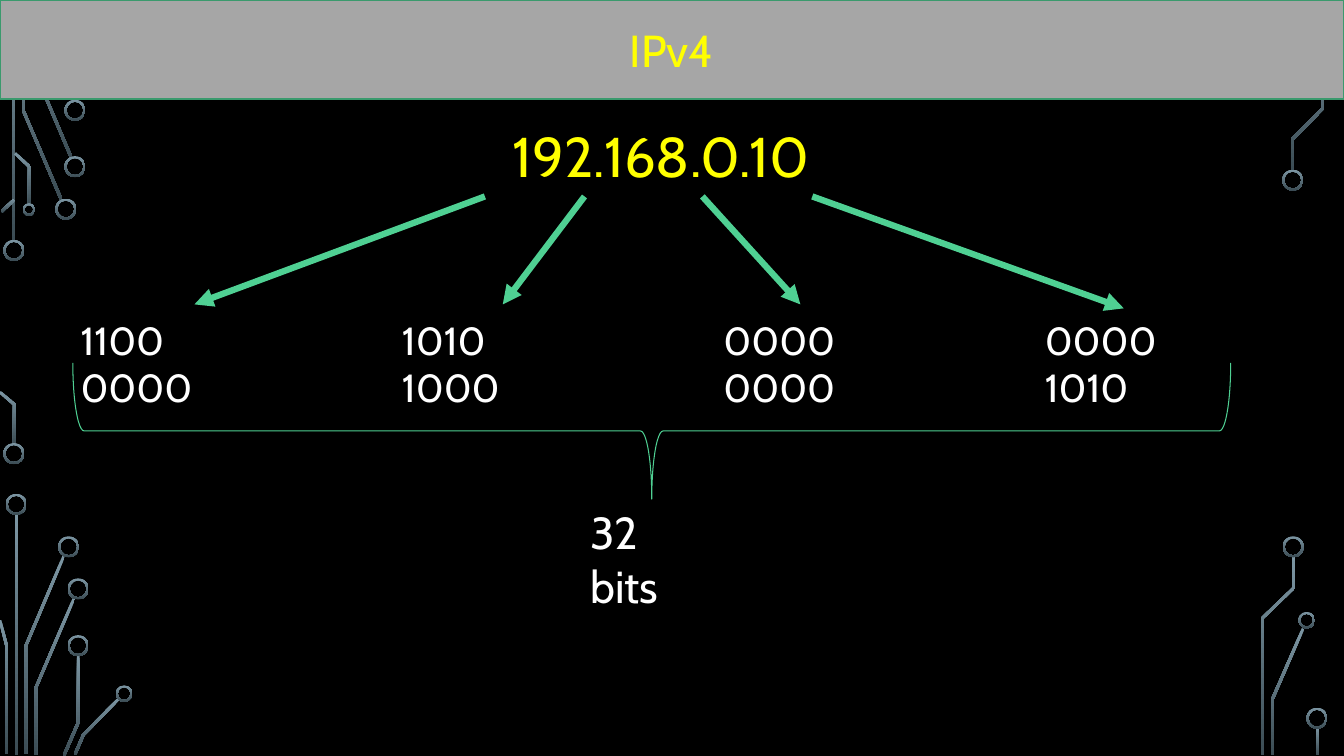
import math
from dataclasses import dataclass

import pptx
import pptx.dml.color
import pptx.enum.shapes
import pptx.enum.text
import pptx.oxml
import pptx.oxml.ns
import pptx.util
from pptx.util import Cm

FONT = "Cabin"
YELLOW, WHITE, GREEN = "FFFF00", "FFFFFF", "4FD093"
TRACK_WIDTH = 0.07
RING_WALL = 0.05

Point = tuple[float, float]


@dataclass(frozen=True)
class Ring:
    x: float
    y: float
    diameter: float = 0.53


@dataclass(frozen=True)
class Label:
    text: str
    left: float
    top: float
    width: float
    height: float
    size: int
    color: str = WHITE


@dataclass(frozen=True)
class Arrow:
    start: Point
    end: Point


# Centre lines of the circuit tracks, in centimetres
TRACKS: list[list[Point]] = [
    [(0.34, 0.03), (0.34, 6.1)],
    [(0.58, 0.03), (0.58, 2.77), (1.55, 5.04)],
    [(0.83, 0.03), (0.83, 1.69), (1.8, 3.98)],
    [(1.55, 0.01), (1.89, 0.84), (1.89, 2.54)],
    [(0.04, 5.33), (0.36, 5.03)],
    [(0, 9.88), (0.36, 10.19), (0.36, 11.2)],
    [(0.38, 3.86), (0.74, 4.2), (0.74, 5.16)],
    [(0.42, 12.95), (0.42, 19.02)],
    [(1.61, 14.01), (0.65, 16.28), (0.65, 19)],
    [(0, 15.63), (0.17, 16.28), (0.17, 19)],
    [(1.87, 15.07), (0.9, 17.34), (0.9, 19.02)],
    [(1.97, 16.51), (1.97, 18.21), (1.61, 19.04)],
    [(3, 17.6), (2.1, 18.52), (1.89, 19.01)],
    [(32.84, 15.84), (32.07, 17.61), (32.07, 19.02)],
    [(33.34, 0.03), (33.34, 2.73), (32.56, 3.52), (32.56, 4.29)],
    [(32.6, 14.02), (32.6, 14.82), (31.81, 15.58), (31.81, 19.02)],
    [(33.21, 18.31), (33.21, 19.02)],
]

RINGS = [
    Ring(0.35, 6.31), Ring(0.35, 11.43), Ring(1.66, 5.27), Ring(1.89, 4.2),
    Ring(1.89, 2.78), Ring(0.73, 5.28, 0.32), Ring(0.41, 12.71), Ring(1.73, 13.78),
    Ring(1.97, 14.84), Ring(1.97, 16.27), Ring(3.13, 17.48, 0.42), Ring(32.58, 4.54),
    Ring(32.93, 15.63, 0.42), Ring(32.59, 13.78), Ring(33.19, 18.1),
]

OCTETS = ["1100 0000", "1010 1000", "0000 0000", "0000 1010"]
OCTET_LEFT, OCTET_PITCH = 1.78, 8.1

LABELS = [
    Label("192.168.0.10", 12.67, 2.95, 8.53, 1.96, 40, YELLOW),
    *(Label(octet, OCTET_LEFT + index * OCTET_PITCH, 7.85, 4.9, 1.45, 28)
      for index, octet in enumerate(OCTETS)),
    Label("32 bits", 14.63, 12.6, 3.45, 1.63, 32),
]

ARROWS = [
    Arrow((12.22, 4.95), (4.9, 7.67)),
    Arrow((20.47, 4.95), (28.32, 7.77)),
    Arrow((17.7, 4.95), (20.17, 7.67)),
    Arrow((14.73, 4.95), (12.67, 7.67)),
]


def rgb(color: str) -> pptx.dml.color.RGBColor:
    return pptx.dml.color.RGBColor.from_string(color)


def style_circuit(shape) -> None:
    shape.shadow.inherit = False
    shape.line.fill.background()
    shape.fill.gradient()
    shape.fill.gradient_angle = 270
    for stop, color in zip(shape.fill.gradient_stops, ("7C96A3", "3B4C54")):
        stop.color.rgb = rgb(color)


def track_side(points: list[Point], offset: float) -> list[Point]:
    """Shift a centre line sideways, with mitred corners."""
    normals = []
    for (x1, y1), (x2, y2) in zip(points, points[1:]):
        length = math.hypot(x2 - x1, y2 - y1)
        normals.append(((y1 - y2) / length, (x2 - x1) / length))
    side = []
    for (x, y), before, after in zip(points, normals[:1] + normals, normals + normals[-1:]):
        scale = offset / (1 + before[0] * after[0] + before[1] * after[1])
        side.append((x + scale * (before[0] + after[0]), y + scale * (before[1] + after[1])))
    return side


def add_track(slide, points: list[Point]) -> None:
    half = TRACK_WIDTH / 2
    outline = track_side(points, half) + track_side(points, -half)[::-1]
    corners = [(Cm(x), Cm(y)) for x, y in outline]
    builder = slide.shapes.build_freeform(*corners[0])
    builder.add_line_segments(corners[1:], close=True)
    style_circuit(builder.convert_to_shape())


def add_ring(slide, ring: Ring) -> None:
    radius = ring.diameter / 2
    shape = slide.shapes.add_shape(
        pptx.enum.shapes.MSO_SHAPE.DONUT, Cm(ring.x - radius), Cm(ring.y - radius),
        Cm(ring.diameter), Cm(ring.diameter))
    shape.adjustments[0] = RING_WALL / ring.diameter
    style_circuit(shape)


def set_text(shape, text: str, size: int, color: str) -> None:
    paragraph = shape.text_frame.paragraphs[0]
    paragraph.text = text
    paragraph.font.name = FONT
    paragraph.font.size = pptx.util.Pt(size)
    paragraph.font.color.rgb = rgb(color)


def add_title(slide, width: int) -> None:
    title = slide.shapes.title
    title.left, title.top, title.width, title.height = 0, 0, width, Cm(2.5)
    title.fill.solid()
    title.fill.fore_color.rgb = rgb("A6A6A6")
    title.line.color.rgb = rgb("3A9A6D")
    title.line.width = pptx.util.Pt(1.25)
    title.text_frame.vertical_anchor = pptx.enum.text.MSO_ANCHOR.MIDDLE
    set_text(title, "IPv4", 32, YELLOW)
    title.text_frame.paragraphs[0].alignment = pptx.enum.text.PP_ALIGN.CENTER
    # The title band covers the upper ends of the tracks
    title.element.getparent().append(title.element)


def add_label(slide, label: Label) -> None:
    box = slide.shapes.add_textbox(
        Cm(label.left), Cm(label.top), Cm(label.width), Cm(label.height))
    box.text_frame.word_wrap = True
    box.text_frame.auto_size = pptx.enum.text.MSO_AUTO_SIZE.SHAPE_TO_FIT_TEXT
    set_text(box, label.text, label.size, label.color)


def add_arrow(slide, arrow: Arrow) -> None:
    connector = slide.shapes.add_connector(
        pptx.enum.shapes.MSO_CONNECTOR.STRAIGHT,
        *(Cm(value) for value in arrow.start + arrow.end))
    connector.line.color.rgb = rgb(GREEN)
    connector.line.width = pptx.util.Pt(4.5)
    namespace = pptx.oxml.ns.nsdecls("a")
    connector.line._get_or_add_ln().append(
        pptx.oxml.parse_xml(f'<a:tailEnd {namespace} type="triangle"/>'))
    connector.element.spPr.append(pptx.oxml.parse_xml(f"<a:effectLst {namespace}/>"))


def add_brace(slide) -> None:
    brace = slide.shapes.add_shape(
        pptx.enum.shapes.MSO_SHAPE.RIGHT_BRACE, Cm(14.71), Cm(-3.73), Cm(3.43), Cm(29.18))
    brace.rotation = 90
    brace.shadow.inherit = False
    brace.fill.background()
    brace.line.color.rgb = rgb(GREEN)
    brace.line.width = pptx.util.Pt(0.75)


def main() -> None:
    presentation = pptx.Presentation()
    presentation.slide_width, presentation.slide_height = Cm(33.87), Cm(19.05)
    slide = presentation.slides.add_slide(presentation.slide_layouts[5])
    slide.background.fill.solid()
    slide.background.fill.fore_color.rgb = rgb("000000")
    for points in TRACKS:
        add_track(slide, points)
    for ring in RINGS:
        add_ring(slide, ring)
    add_title(slide, presentation.slide_width)
    for label in LABELS:
        add_label(slide, label)
    for arrow in ARROWS:
        add_arrow(slide, arrow)
    add_brace(slide)
    presentation.save("out.pptx")


if __name__ == "__main__":
    main()
